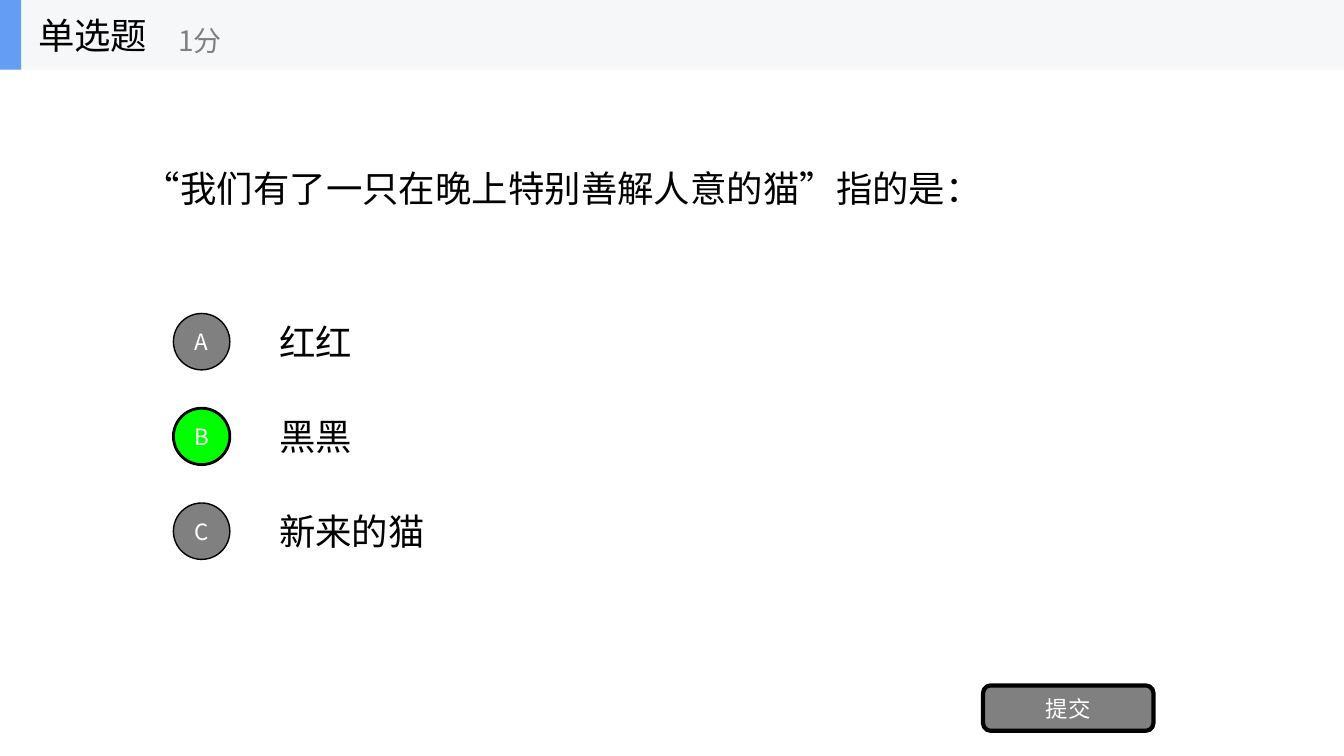
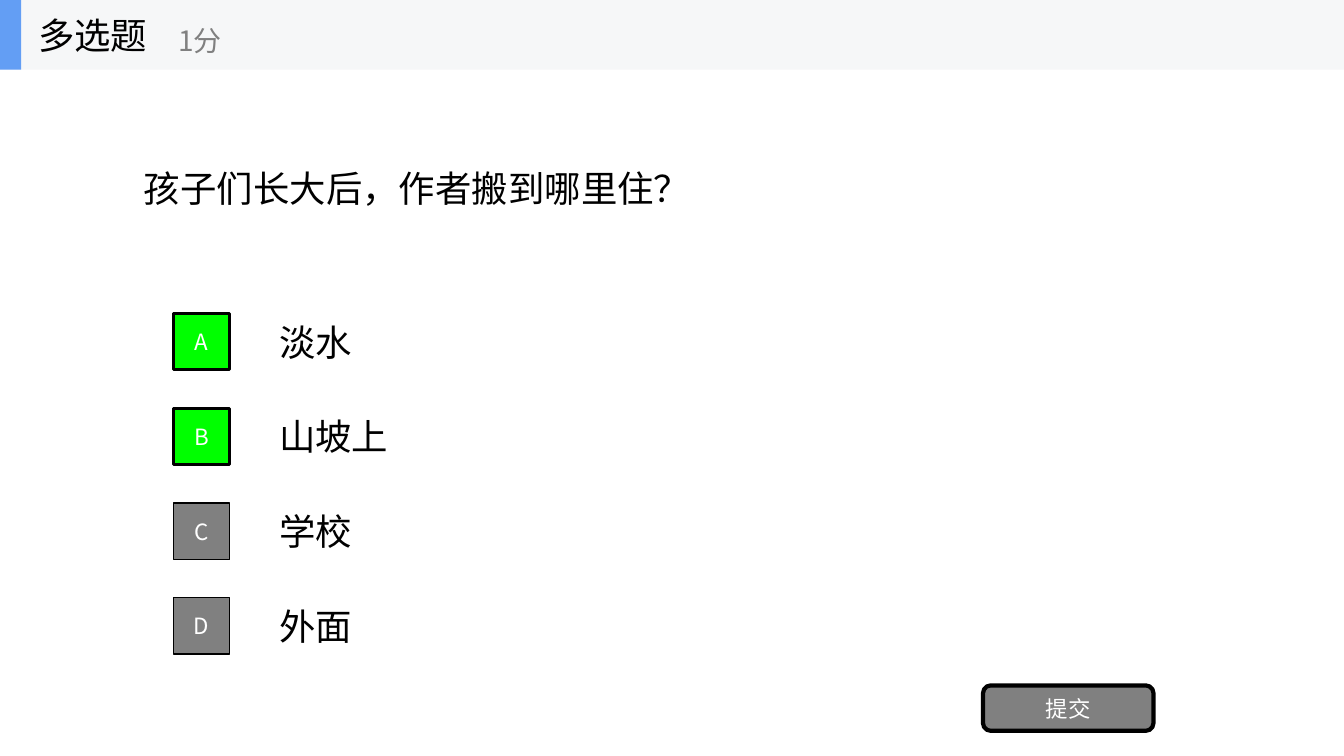
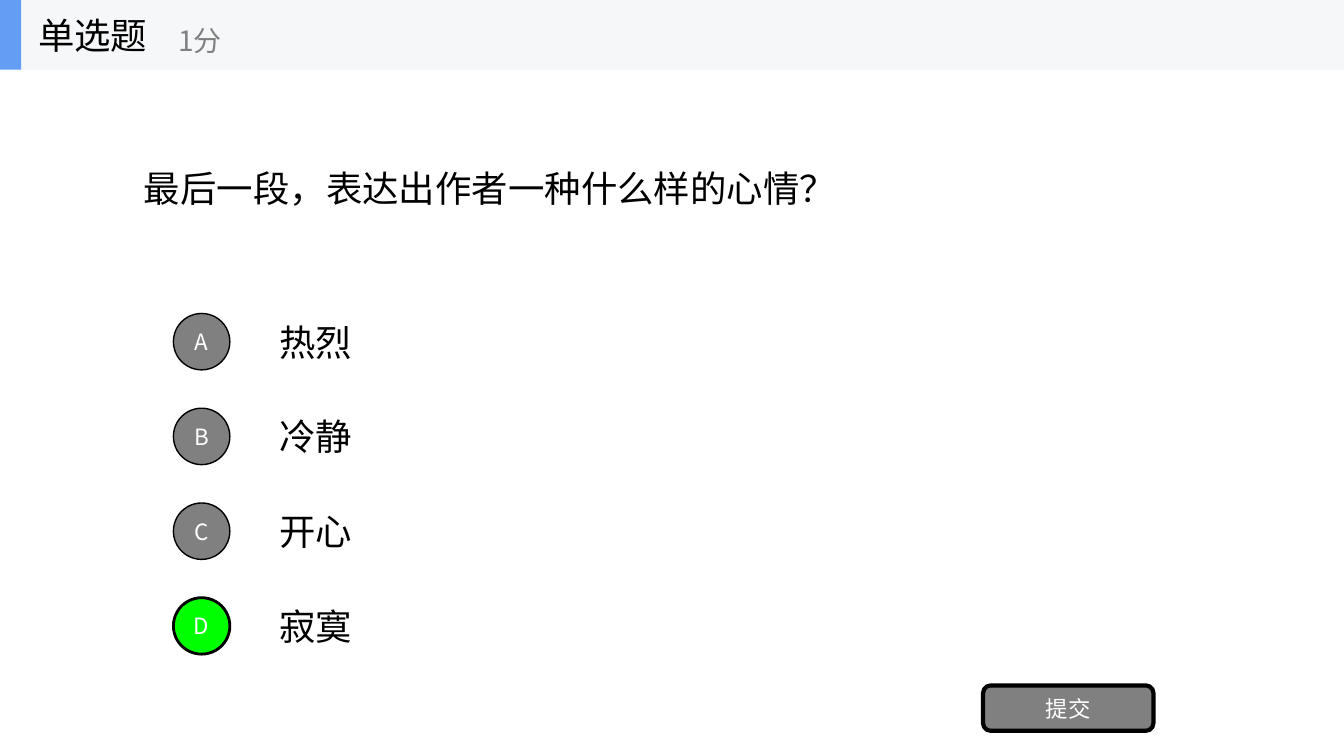
from dataclasses import dataclass

from lxml import etree
from pptx import Presentation
from pptx.dml.color import RGBColor
from pptx.enum.lang import MSO_LANGUAGE_ID
from pptx.enum.shapes import MSO_SHAPE
from pptx.enum.text import MSO_ANCHOR, PP_ALIGN
from pptx.oxml.ns import qn
from pptx.shapes.autoshape import Shape
from pptx.shapes.shapetree import GroupShapes, SlideShapes
from pptx.slide import Slide
from pptx.util import Inches, Pt

RECTANGLE = MSO_SHAPE.RECTANGLE
ROUNDED = MSO_SHAPE.ROUNDED_RECTANGLE
OVAL = MSO_SHAPE.OVAL
LEFT = PP_ALIGN.LEFT
CENTER = PP_ALIGN.CENTER
MIDDLE = MSO_ANCHOR.MIDDLE
CHINESE = MSO_LANGUAGE_ID.SIMPLIFIED_CHINESE

Shapes = SlideShapes | GroupShapes


@dataclass(frozen=True)
class Theme:
    font: str = "Noto Sans CJK SC"
    ink: str = "000000"
    paper: str = "FFFFFF"
    muted: str = "808080"
    correct: str = "00FF00"
    band: str = "F6F7F8"
    accent: str = "639EF4"
    body_size: int = 26
    score_size: int = 20
    label_size: int = 16


@dataclass(frozen=True)
class Area:
    left: float
    top: float
    width: float
    height: float

    def lengths(self) -> tuple[Inches, Inches, Inches, Inches]:
        return (Inches(self.left), Inches(self.top),
                Inches(self.width), Inches(self.height))


@dataclass(frozen=True)
class Quiz:
    kind: str
    question: str
    options: tuple[str, ...]
    answers: str
    marker: MSO_SHAPE


THEME = Theme()

# Layout
SLIDE_WIDTH, SLIDE_HEIGHT = 13.33, 7.5
BAND_HEIGHT = 0.69
QUESTION = Area(1.33, BAND_HEIGHT, 10.67, 2.34)
SUBMIT = Area(9.75, 6.8, 1.69, 0.45)
OPTION_TOP, OPTION_PITCH, OPTION_HEIGHT = 3.04, 0.94, 0.7
OPTION_LEFT, OPTION_WIDTH = 2.67, 9.33
MARKER_LEFT, MARKER_SIZE = 1.72, 0.56

# Content
SINGLE, MULTIPLE = "单选题", "多选题"
QUIZZES = (
    Quiz(SINGLE, "“我们有了一只在晚上特别善解人意的猫”指的是：",
         ("红红", "黑黑", "新来的猫"), "B", OVAL),
    Quiz(MULTIPLE, "孩子们长大后，作者搬到哪里住？",
         ("淡水", "山坡上", "学校", "外面"), "AB", RECTANGLE),
    Quiz(SINGLE, "最后一段，表达出作者一种什么样的心情？",
         ("热烈", "冷静", "开心", "寂寞"), "D", OVAL),
)


def write(shape: Shape, text: str, size: int, color: str,
          align: PP_ALIGN = LEFT) -> None:
    frame = shape.text_frame
    frame.word_wrap = True
    frame.vertical_anchor = MIDDLE
    para = frame.paragraphs[0]
    para.text = text
    para.alignment = align
    para.font.size = Pt(size)
    para.font.color.rgb = RGBColor.from_string(color)
    para.font.name = THEME.font
    para.font.language_id = CHINESE
    # The East Asian typeface is a separate element
    defaults = para._p.pPr.find(qn("a:defRPr"))
    etree.SubElement(defaults, qn("a:ea"), typeface=THEME.font)


def add_text(shapes: Shapes, area: Area, text: str,
             size: int = THEME.body_size, color: str = THEME.ink) -> None:
    write(shapes.add_textbox(*area.lengths()), text, size, color)


def add_block(shapes: Shapes, kind: MSO_SHAPE, area: Area, fill: str,
              line_width: float = 0, label: str = "") -> None:
    block = shapes.add_shape(kind, *area.lengths())
    block.shadow.inherit = False
    block.fill.solid()
    block.fill.fore_color.rgb = RGBColor.from_string(fill)
    if line_width:
        block.line.color.rgb = RGBColor.from_string(THEME.ink)
        block.line.width = Pt(line_width)
    else:
        block.line.fill.background()
    if label:
        frame = block.text_frame
        frame.margin_left = frame.margin_right = 0
        frame.margin_top = frame.margin_bottom = 0
        write(block, label, THEME.label_size, THEME.paper, CENTER)


def add_header(page: Slide, kind: str) -> None:
    shapes = page.shapes.add_group_shape().shapes
    add_block(shapes, RECTANGLE, Area(0, 0, SLIDE_WIDTH, BAND_HEIGHT), THEME.band)
    add_block(shapes, RECTANGLE, Area(0, 0, 0.21, BAND_HEIGHT), THEME.accent)
    add_text(shapes, Area(0.28, 0, 2.08, BAND_HEIGHT), kind)
    add_text(shapes, Area(1.67, 0.12, 2.5, 0.56), "1分",
             THEME.score_size, THEME.muted)


def add_option(page: Slide, quiz: Quiz, row: int) -> None:
    top = OPTION_TOP + row * OPTION_PITCH
    marker_top = top + (OPTION_HEIGHT - MARKER_SIZE) / 2
    letter = "ABCD"[row]
    is_correct = letter in quiz.answers
    add_text(page.shapes, Area(OPTION_LEFT, top, OPTION_WIDTH, OPTION_HEIGHT),
             quiz.options[row])
    add_block(page.shapes, quiz.marker,
              Area(MARKER_LEFT, marker_top, MARKER_SIZE, MARKER_SIZE),
              THEME.correct if is_correct else THEME.muted,
              2 if is_correct else 1, letter)


def add_quiz(page: Slide, quiz: Quiz) -> None:
    add_text(page.shapes, QUESTION, quiz.question)
    for row in range(len(quiz.options)):
        add_option(page, quiz, row)
    add_block(page.shapes, ROUNDED, SUBMIT, THEME.muted, 3, "提交")
    add_header(page, quiz.kind)


def main() -> None:
    deck = Presentation()
    deck.slide_width = Inches(SLIDE_WIDTH)
    deck.slide_height = Inches(SLIDE_HEIGHT)
    blank = deck.slide_layouts[6]
    for quiz in QUIZZES:
        add_quiz(deck.slides.add_slide(blank), quiz)
    deck.save("out.pptx")


if __name__ == "__main__":
    main()
